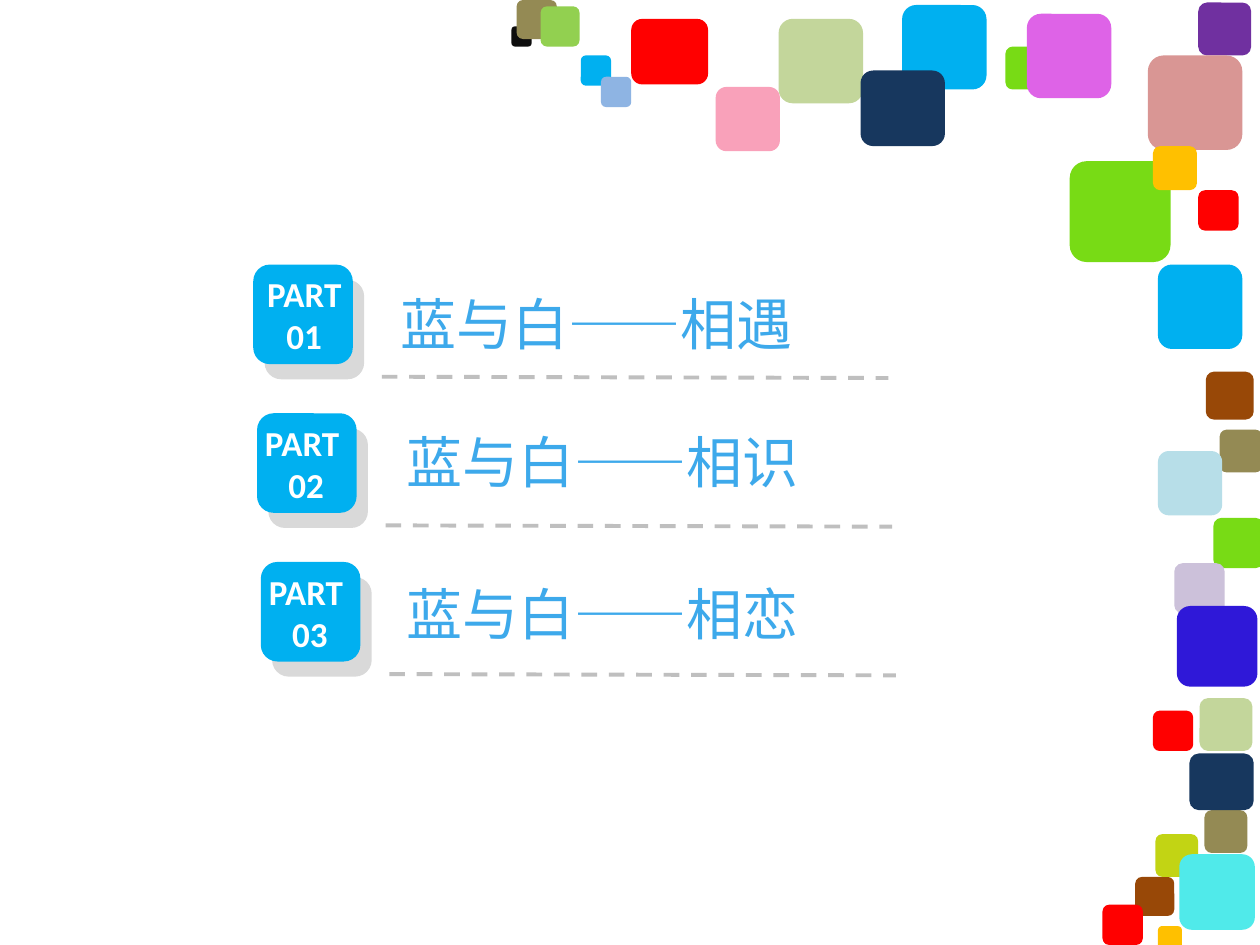
from lxml.etree import SubElement as Sub
from pptx import Presentation
from pptx.dml.color import RGBColor
from pptx.enum.dml import MSO_LINE as Dash
from pptx.enum.shapes import MSO_CONNECTOR as Link, MSO_SHAPE as Shape
from pptx.enum.text import MSO_AUTO_SIZE as Auto, PP_ALIGN as Align
from pptx.oxml.ns import qn
from pptx.util import Inches, Pt

WIDE, HIGH = Inches(10), Inches(7.5)
COLS, ROWS = 100, 75
SKY, GREY, RULE, INK = "00B0F0", "D9D9D9", "BFBFBF", "3DA9EB"
SIDE = 7.9

TILES = [
    (40.6, 2.1, 1.6, 1.6, "0D0D0D"),
    (41, 0, 3.2, 3.1, "948A54"),
    (46.1, 4.4, 2.4, 2.4, SKY),
    (50.1, 1.5, 6.1, 5.2, "FF0000"),
    (47.7, 6.1, 2.4, 2.4, "8EB4E3"),
    (61.8, 1.5, 6.7, 6.7, "C3D69B"),
    (56.8, 6.9, 5.1, 5.1, "F9A1BA"),
    (95.7, 29.5, 3.8, 3.8, "984807"),
    (91.9, 21, 6.7, 6.7, SKY),
    (71.6, 0.4, 6.7, 6.7, SKY),
    (79.8, 3.7, 3.4, 3.4, "78DB15"),
    (81.5, 1.1, 6.7, 6.7, "DE63E7"),
    (95.1, 0.2, 4.2, 4.2, "7030A0"),
    (91.1, 4.4, 7.5, 7.5, "D99694"),
    (95.1, 15.1, 3.2, 3.2, "FF0000"),
    (42.9, 0.5, 3.1, 3.2, "92D050"),
    (68.3, 5.6, 6.7, 6, "17375E"),
    (84.9, 12.8, 8, 8, "78DB15"),
    (91.5, 11.6, 3.5, 3.5, "FFC000"),
    (96.8, 34.1, 3.4, 3.4, "948A54"),
    (91.9, 35.8, 5.1, 5.1, "B7DEE8"),
    (96.3, 41.1, 4, 4, "78DB15"),
    (90.1, 69.6, 3.1, 3.1, "984807"),
    (87.5, 71.8, 3.2, 3.2, "FF0000"),
    (91.9, 73.5, 1.9, 1.9, "FFC000"),
    (95.6, 64.3, 3.4, 3.4, "948A54"),
    (91.7, 66.2, 3.4, 3.4, "C2D414"),
    (93.6, 67.8, 6, 6, "50EAEA"),
    (93.2, 44.7, 4, 4, "CCC1DA"),
    (93.4, 48.1, 6.4, 6.4, "2F18D8"),
    (95.2, 55.4, 4.2, 4.2, "C3D69B"),
    (94.4, 59.8, 5.1, 4.5, "17375E"),
    (91.5, 56.4, 3.2, 3.2, "FF0000"),
]

PARTS = [
    ("01", (20.1, 21.1, 8.1, 7.7), "蓝与白——相遇", (30.8, 22.5)),
    ("02", (20, 33, 8.6, 7.7), "蓝与白——相识", (31.3, 33.4)),
    ("03", (20.3, 44.8, 8.6, 7.7), "蓝与白——相恋", (31.3, 45.5)),
]


def grid(x, y):
    return round(WIDE * x / COLS), round(HIGH * y / ROWS)


def tint(code):
    return RGBColor.from_string(code)


def tile(host, x, y, w, h, fill):
    box = host.add_shape(Shape.ROUNDED_RECTANGLE, *grid(x, y), *grid(w, h))
    box.shadow.inherit = False
    box.fill.solid()
    box.fill.fore_color.rgb = tint(fill)
    box.line.fill.background()


def rule(host, x, y):
    line = host.add_connector(Link.STRAIGHT, *grid(x, y), *grid(x + 40.2, y + 0.1))
    line.line.color.rgb = tint(RULE)
    line.line.width = Pt(2.25)
    line.line.dash_style = Dash.DASH
    Sub(line._element.spPr, qn("a:effectLst"))


def write(host, text, x, y, w, h, *, size, face, color,
          bold=False, align=Align.LEFT):
    frame = host.add_textbox(*grid(x, y), *grid(w, h)).text_frame
    frame.word_wrap = True
    frame.auto_size = Auto.SHAPE_TO_FIT_TEXT
    frame.text = text
    for para in frame.paragraphs:
        para.alignment = align
        for run in para.runs:
            font = run.font
            font.size, font.bold, font.name = Pt(size), bold, face
            font.color.rgb = tint(color)
            Sub(run._r.rPr, qn("a:ea"), typeface=face)


def badge(page, row, num, spot):
    host = page.add_group_shape().shapes
    x, y = 20.1 + 0.3 * row, 21 + 11.8 * row
    tile(host, x + 0.9, y + 1.2, SIDE, SIDE, GREY)
    tile(host, x, y, SIDE, SIDE, SKY)
    write(host, f"PART \n{num}", *spot, size=20, face="Calibri",
          color="FFFFFF", bold=True, align=Align.CENTER)
    rule(host, x + 10.2, y + 8.9)


def main():
    deck = Presentation()
    deck.slide_width, deck.slide_height = WIDE, HIGH
    page = deck.slides.add_slide(deck.slide_layouts[6]).shapes
    for item in TILES:
        tile(page, *item)
    for row, (num, spot, _, _) in enumerate(PARTS):
        badge(page, row, num, spot)
    for _, _, title, place in PARTS:
        write(page, title, *place, 35, 6.4, size=32,
              face="Noto Sans CJK SC", color=INK)
    deck.save("out.pptx")


if __name__ == "__main__":
    main()
